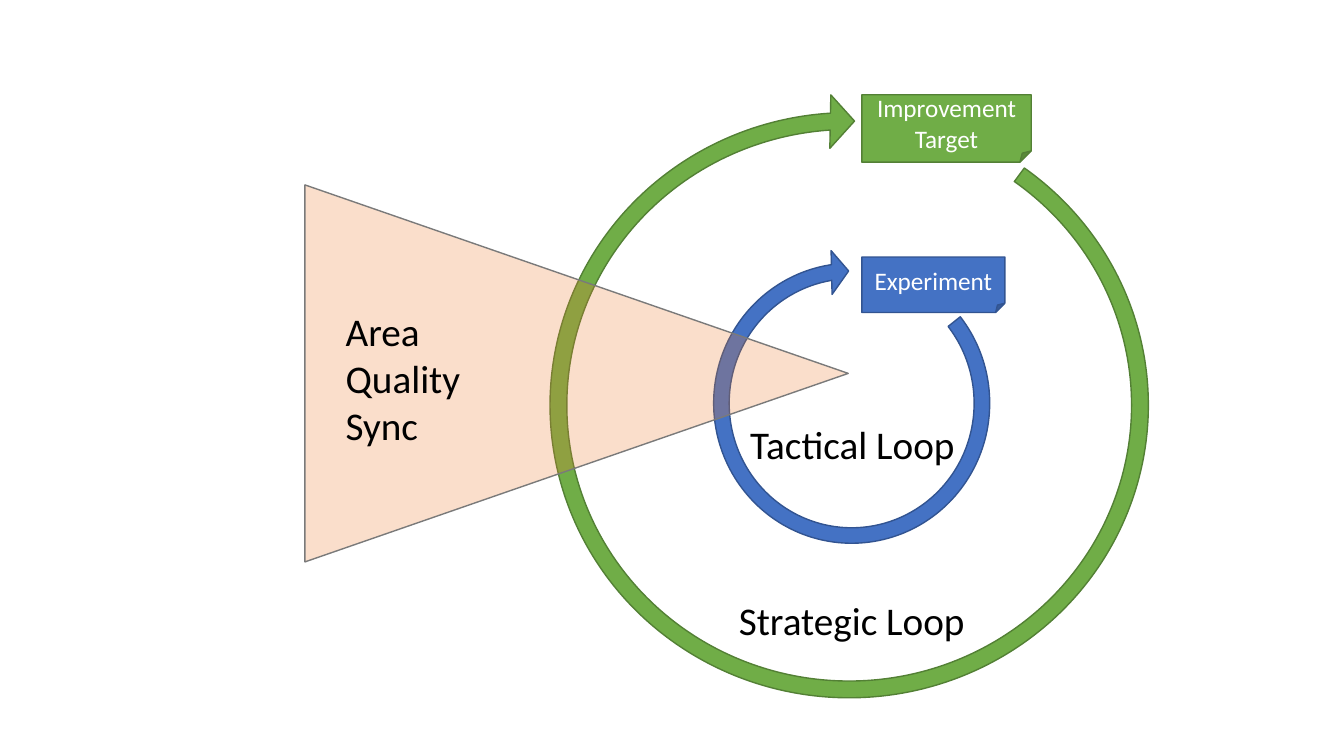
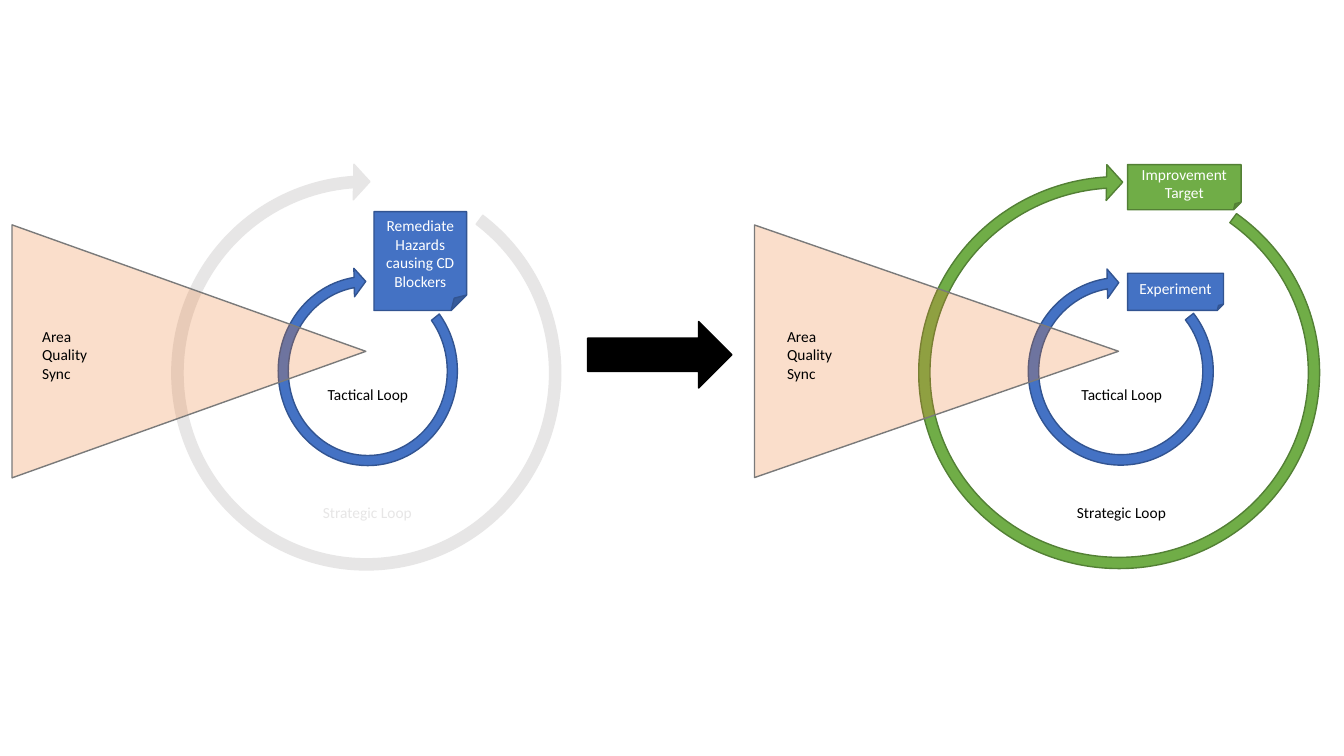
import dataclasses
import typing

import lxml.etree
import pptx
import pptx.dml.color
import pptx.enum.shapes
import pptx.enum.text
import pptx.oxml.ns
import pptx.util

Pt = pptx.util.Pt
SHAPE = pptx.enum.shapes.MSO_SHAPE
ALIGN = pptx.enum.text.PP_ALIGN
ANCHOR = pptx.enum.text.MSO_ANCHOR
Lines = tuple[str, ...]

FONT = "Calibri"
BLACK, WHITE = "000000", "FFFFFF"


class Box(typing.NamedTuple):
    x: float
    y: float
    w: float
    h: float


@dataclasses.dataclass(frozen=True)
class Paint:
    fill: str
    line: str
    opacity: int = 100


@dataclasses.dataclass(frozen=True)
class Note:
    box: Box
    paint: Paint
    lines: Lines


@dataclasses.dataclass(frozen=True)
class Label:
    box: Box
    lines: Lines
    color: str = BLACK
    align: typing.Any = ALIGN.CENTER
    anchor: typing.Any = ANCHOR.TOP


@dataclasses.dataclass(frozen=True)
class Diagram:
    notes: list[Note]
    tactical: Box
    strategic: Box
    wedge: Box
    labels: list[Label]
    note_size: int
    label_size: int
    strategic_paint: Paint


BLUE = Paint("4472C4", "325491")
GREEN = Paint("70AD47", "538035")
GREY = Paint("E7E6E6", "E7E6E6")
PEACH = Paint("ED7D31", "7A7A7A", 25)
SOLID = Paint(BLACK, BLACK)

TACTICAL_PERCENT = (5.1, 445.7, 21075.9, 3089, 7.2)
STRATEGIC_PERCENT = (2.7, 292.9, 21371.7, 2186.5, 4.3)


def rgb(color: str) -> pptx.dml.color.RGBColor:
    return pptx.dml.color.RGBColor.from_string(color)


def add_shape(s, kind, box: Box, paint: Paint, rotation: float = 0,
              percents: tuple[float, ...] = ()):
    sp = s.shapes.add_shape(kind, *map(Pt, box))
    sp.rotation = rotation
    sp.shadow.inherit = False
    sp.fill.solid()
    sp.fill.fore_color.rgb = rgb(paint.fill)
    sp.line.color.rgb = rgb(paint.line)
    sp.line.width = Pt(1)
    for i, percent in enumerate(percents):
        sp.adjustments[i] = percent / 100
    if paint.opacity < 100:
        qn = pptx.oxml.ns.qn
        color = sp.element.spPr.find(qn("a:solidFill")).find(qn("a:srgbClr"))
        alpha = lxml.etree.SubElement(color, qn("a:alpha"))
        alpha.set("val", str(paint.opacity * 1000))
    return sp


def write(tf, lines: Lines, size: float, color: str, align) -> None:
    for i, line in enumerate(lines):
        p = tf.add_paragraph() if i else tf.paragraphs[0]
        p.text = line
        p.alignment = align
        p.font.name = FONT
        p.font.size = Pt(size)
        p.font.color.rgb = rgb(color)


def add_note(s, note: Note, size: float) -> None:
    sp = add_shape(s, SHAPE.FOLDED_CORNER, note.box, note.paint)
    sp.text_frame.vertical_anchor = ANCHOR.MIDDLE
    write(sp.text_frame, note.lines, size, WHITE, ALIGN.CENTER)


def add_label(s, label: Label, size: float) -> None:
    tf = s.shapes.add_textbox(*map(Pt, label.box)).text_frame
    tf.word_wrap = False
    tf.auto_size = pptx.enum.text.MSO_AUTO_SIZE.SHAPE_TO_FIT_TEXT
    tf.vertical_anchor = label.anchor
    write(tf, label.lines, size, label.color, label.align)


def add_diagram(s, d: Diagram) -> None:
    for note in d.notes:
        add_note(s, note, d.note_size)
    add_shape(s, SHAPE.CIRCULAR_ARROW, d.tactical, BLUE, 270, TACTICAL_PERCENT)
    add_shape(s, SHAPE.CIRCULAR_ARROW, d.strategic, d.strategic_paint, 270,
              STRATEGIC_PERCENT)
    add_shape(s, SHAPE.ISOSCELES_TRIANGLE, d.wedge, PEACH, 90)
    for label in d.labels:
        add_label(s, label, d.label_size)


def loop_labels(tactical: Box, strategic: Box, sync: Box,
                strategic_color: str = BLACK) -> list[Label]:
    return [
        Label(tactical, ("Tactical Loop",)),
        Label(strategic, ("Strategic Loop",), strategic_color),
        Label(sync, ("Area", "Quality", "Sync"), align=ALIGN.LEFT,
              anchor=ANCHOR.MIDDLE),
    ]


def small_labels(tactical_x: float, strategic_x: float, sync_x: float,
                 strategic_color: str = BLACK) -> list[Label]:
    return loop_labels(Box(tactical_x, 271.4, 73.4, 20.9),
                       Box(strategic_x, 355.7, 78.5, 20.9),
                       Box(sync_x, 229.7, 46.8, 47.5), strategic_color)


def scaled(box: Box, scale: float, dx: float, dy: float) -> Box:
    return Box(box.x * scale + dx, box.y * scale + dy,
               box.w * scale, box.h * scale)


def shrink(d: Diagram, scale: float, dx: float, dy: float, size: int,
           labels: list[Label]) -> Diagram:
    def fit(box: Box) -> Box:
        return scaled(box, scale, dx, dy)

    return dataclasses.replace(
        d, notes=[dataclasses.replace(n, box=fit(n.box)) for n in d.notes],
        tactical=fit(d.tactical), strategic=fit(d.strategic),
        wedge=fit(d.wedge), labels=labels, note_size=size, label_size=size)


both_loops = Diagram(
    notes=[
        Note(Box(615.6, 183.6, 102.2, 39.6), BLUE, ("Experiment",)),
        Note(Box(615.6, 67.7, 121, 48.2), GREEN, ("Improvement", "Target")),
    ],
    tactical=Box(498.2, 179.3, 220.3, 217.4),
    strategic=Box(384.5, 62.6, 444.2, 453.6),
    wedge=Box(277.2, 72.7, 269.3, 388.1),
    labels=loop_labels(Box(527.8, 296.6, 162, 41),
                       Box(519.8, 422.6, 177.1, 41),
                       Box(239.8, 215.3, 97.2, 108.7)),
    note_size=18, label_size=28, strategic_paint=GREEN)

tactical_only = Diagram(
    notes=[Note(Box(267.1, 151.2, 66.2, 70.6), BLUE,
                ("Remediate Hazards causing CD Blockers",))],
    tactical=Box(188.6, 194.4, 148.3, 141.1),
    strategic=Box(112.3, 118.8, 298.8, 295.2),
    wedge=Box(44.6, 124.6, 180.7, 252.7),
    labels=small_labels(226.1, 223.2, 23, GREY.fill),
    note_size=11, label_size=11, strategic_paint=GREY)

prs = pptx.Presentation()
prs.slide_width, prs.slide_height = Pt(960), Pt(540)
blank = prs.slide_layouts[6]

s = prs.slides.add_slide(blank)
add_diagram(s, both_loops)

s = prs.slides.add_slide(blank)
add_diagram(s, shrink(both_loops, 0.67, 393, 72.2, 11,
                      small_labels(764.6, 761.8, 555.1)))
add_diagram(s, tactical_only)
add_shape(s, SHAPE.RIGHT_ARROW, Box(419.8, 229.7, 103, 47.5), SOLID)

prs.save("out.pptx")
